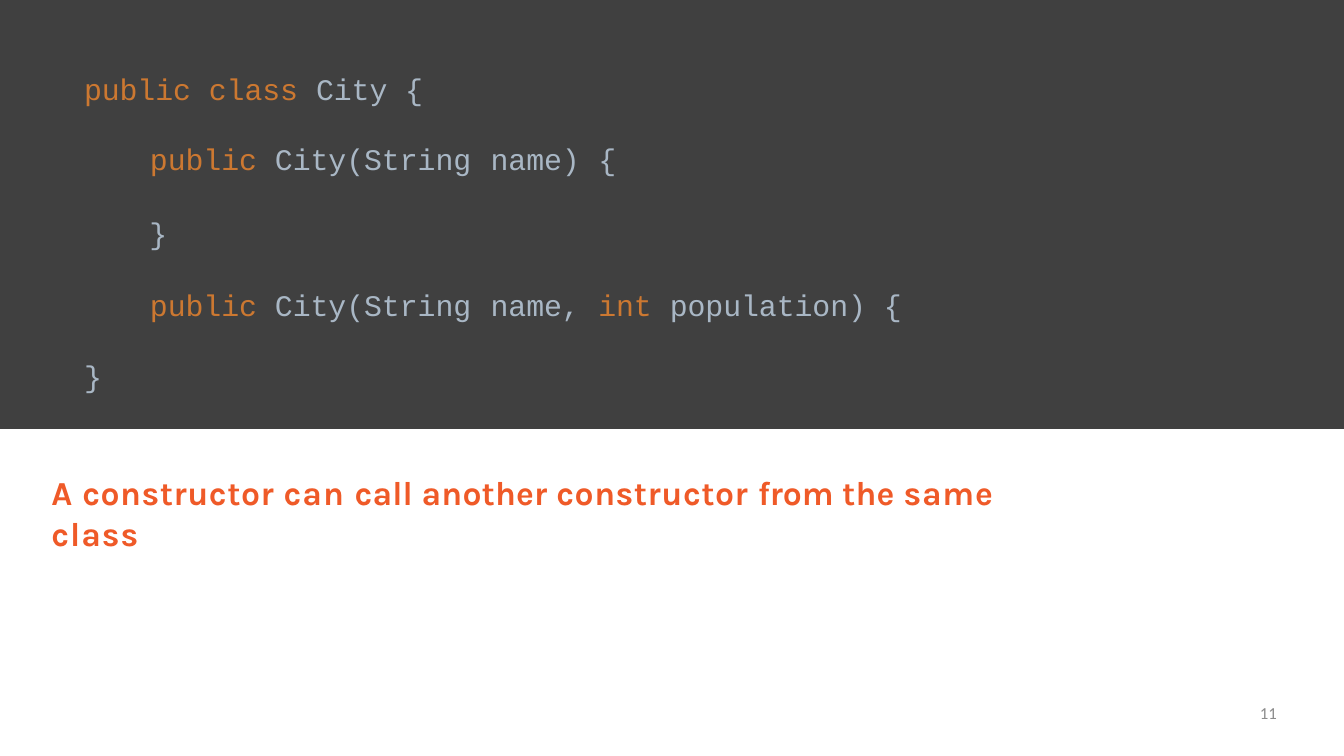
from dataclasses import dataclass

from pptx import Presentation
from pptx.dml.color import RGBColor as Rgb
from pptx.enum.shapes import MSO_SHAPE as Shape
from pptx.enum.text import PP_ALIGN as Align
from pptx.oxml.ns import qn
from pptx.util import Pt


@dataclass(frozen=True)
class Theme:
    panel: Rgb = Rgb(0x40, 0x40, 0x40)
    keyword: Rgb = Rgb(0xCC, 0x78, 0x31)
    code: Rgb = Rgb(0xA9, 0xB7, 0xC5)
    accent: Rgb = Rgb(0xEF, 0x5A, 0x28)
    muted: Rgb = Rgb(0x8C, 0x8C, 0x8C)
    code_size: float = 32
    message_size: float = 36
    number_size: float = 18


THEME = Theme()
NO_GRID_STYLE = "{2D5ABB26-0587-4C30-8999-92F81FD0307C}"
KEYWORDS = {"public ", "public class ", "int "}
CODE_FONT = {"name": "Courier New", "size": Pt(THEME.code_size)}
MESSAGE_FONT = {"name": "Karla", "size": Pt(THEME.message_size), "bold": True}
NUMBER_FONT = {"name": "Calibri", "size": Pt(THEME.number_size)}

COLUMNS = [427.7, 115.9, 339.1]
ROWS = [136, 77, 77, 60]
CONSTRUCTOR = ["public ", "City(String"]
CENTERED = {"alignment": Align.CENTER}
CODE_CELLS = {
    (0, 0): (1.5, [
        (["public class ", "City ", "{"], 2, {}),
        (CONSTRUCTOR, 62, {**CENTERED, "space_before": Pt(38)}),
    ]),
    (0, 1): (76, [(["name)"], 10, {})]),
    (0, 2): (76, [(["{"], 9.5, {})]),
    (1, 0): (19, [(["}"], 72, {})]),
    (2, 0): (19, [(CONSTRUCTOR, 62, CENTERED)]),
    (2, 1): (19, [(["name,"], 10, {})]),
    (2, 2): (19, [(["int ", "population) ", "{"], 9.5, {})]),
    (3, 0): (19, [(["}"], 2, {})]),
}
MESSAGE = [
    ("A ", 80), ("constructor ", 60), ("can ", 110), ("call ", 10),
    ("another ", 20), ("constructor ", 60), ("from ", -20), ("the ", 30),
    ("same ", 80), ("class", 110),
]


def apply(target, values):
    for attribute, value in values.items():
        setattr(target, attribute, value)


def add_run(paragraph, text, font, color, spacing=0):
    run = paragraph.add_run()
    run.text = text
    apply(run.font, font)
    run.font.color.rgb = color
    if spacing:
        run.font._element.set("spc", str(spacing))


def add_panel(slide, width, height):
    panel = slide.shapes.add_shape(Shape.RECTANGLE, 0, 0, Pt(width), Pt(height))
    panel.shadow.inherit = False
    panel.fill.solid()
    panel.fill.fore_color.rgb = THEME.panel
    panel.line.fill.background()


def fill_code_cell(cell, top, lines):
    cell.margin_top = Pt(top)
    for index, (tokens, indent, layout) in enumerate(lines):
        frame = cell.text_frame
        line = frame.add_paragraph() if index else frame.paragraphs[0]
        line._p.get_or_add_pPr().set("marL", str(Pt(indent)))
        apply(line, layout)
        for token in tokens:
            color = THEME.keyword if token in KEYWORDS else THEME.code
            add_run(line, token, CODE_FONT, color, -10)


def add_code_table(slide, left, top):
    listing = slide.shapes.add_table(
        len(ROWS), len(COLUMNS),
        Pt(left), Pt(top), Pt(sum(COLUMNS)), Pt(sum(ROWS))).table
    apply(listing, {"first_row": False, "horz_banding": False})
    listing._tbl.tblPr.find(qn("a:tableStyleId")).text = NO_GRID_STYLE
    for column, width in zip(listing.columns, COLUMNS):
        column.width = Pt(width)
    for row, height in zip(listing.rows, ROWS):
        row.height = Pt(height)
    for cell in listing.iter_cells():
        apply(cell, dict.fromkeys(
            ["margin_left", "margin_top", "margin_right", "margin_bottom"], 0))
        cell.fill.solid()
        cell.fill.fore_color.rgb = THEME.panel
    for position, (inset, lines) in CODE_CELLS.items():
        fill_code_cell(listing.cell(*position), inset, lines)


def add_text(slide, box, runs, font, color, alignment=Align.LEFT):
    frame = slide.shapes.add_textbox(*map(Pt, box)).text_frame
    apply(frame, {"word_wrap": True, "margin_left": 0, "margin_top": 0,
                  "margin_right": 0, "margin_bottom": 0})
    paragraph = frame.paragraphs[0]
    paragraph.alignment = alignment
    for text, spacing in runs:
        add_run(paragraph, text, font, color, spacing)


def main():
    deck = Presentation()
    apply(deck, {"slide_width": Pt(1440), "slide_height": Pt(810)})
    slide = deck.slides.add_slide(deck.slide_layouts[6])
    add_panel(slide, 1440, 459.4)
    add_code_table(slide, 88, 80)
    add_text(slide, (55, 506, 1080, 45), MESSAGE, MESSAGE_FONT, THEME.accent)
    add_text(slide, (1036.8, 753, 331.2, 40), [("11", 0)],
             NUMBER_FONT, THEME.muted, Align.RIGHT)
    deck.save("out.pptx")


if __name__ == "__main__":
    main()
